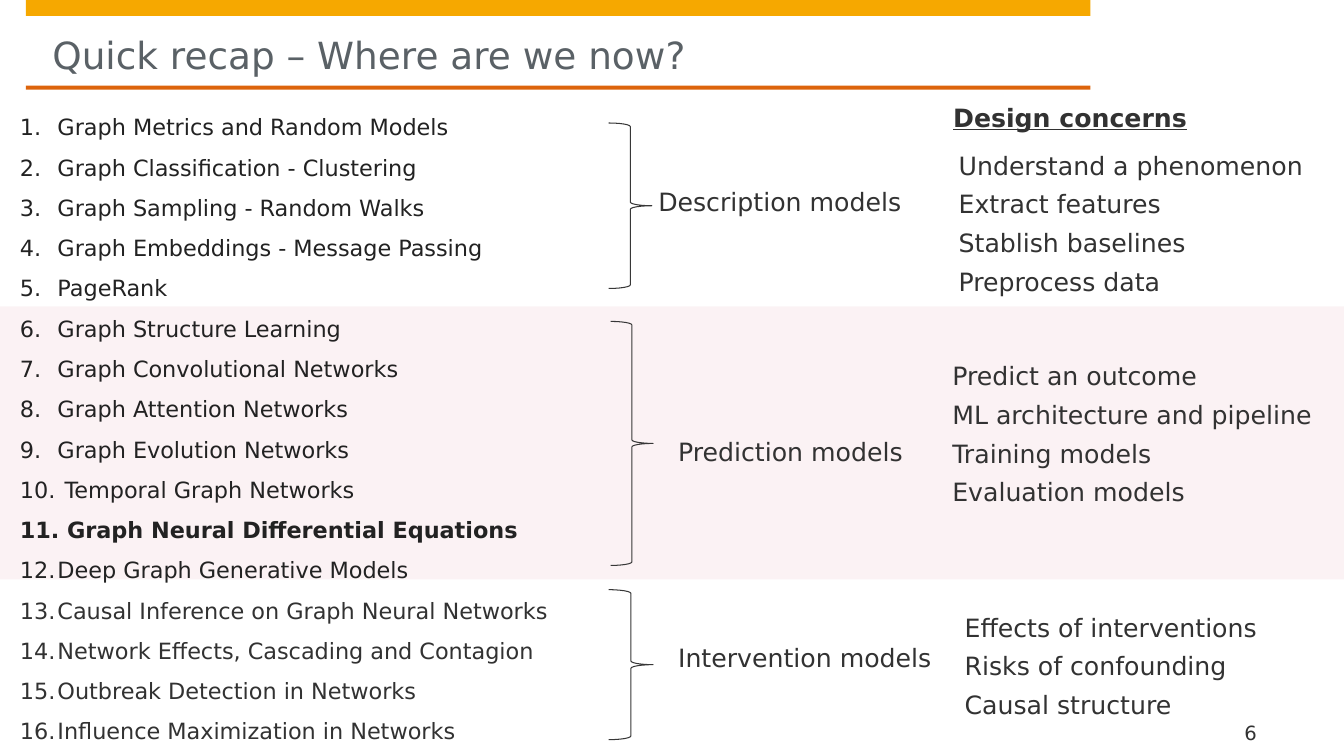
from lxml import etree
from pptx import Presentation
from pptx.dml.color import RGBColor
from pptx.enum.shapes import MSO_SHAPE
from pptx.enum.text import MSO_ANCHOR
from pptx.oxml.ns import qn
from pptx.util import Cm, Pt

RECTANGLE = MSO_SHAPE.RECTANGLE
RIGHT_BRACE = MSO_SHAPE.RIGHT_BRACE
TOP = MSO_ANCHOR.TOP
BOTTOM = MSO_ANCHOR.BOTTOM

FONT = "DejaVu Sans"
COLORS = {
    "amber": "F6A800",
    "orange": "DD640C",
    "crimson": "B1063A",
    "title": "5A6166",
    "topic": "222222",
    "text": "323232",
    "brace": "373737",
}
WIDTH, HEIGHT = 33.87, 19.05
NO_INSETS = (0, 0, 0, 0)
LIST_INSETS = (0.25, 0.13, 0.25, 0.13)

TOPICS = [
    "Graph Metrics and Random Models",
    "Graph Classification - Clustering",
    "Graph Sampling - Random Walks",
    "Graph Embeddings - Message Passing",
    "PageRank",
    "Graph Structure Learning",
    "Graph Convolutional Networks",
    "Graph Attention Networks",
    "Graph Evolution Networks",
    " Temporal Graph Networks",
    " Graph Neural Differential Equations",
    "Deep Graph Generative Models",
    "Causal Inference on Graph Neural Networks",
    "Network Effects, Cascading and Contagion",
    "Outbreak Detection in Networks",
    "Influence Maximization in Networks",
]
CURRENT_TOPIC = 10
FIRST_INTERVENTION_TOPIC = 12

GROUPS = [
    {
        "brace": (15.34, 3.1, 1.09, 4.17),
        "label": "Description models",
        "label_offset": (1.25, 1.6),
        "concerns": ["Understand a phenomenon", "Extract features",
                     "Stablish baselines", "Preprocess data"],
        "concerns_offset": (8.82, 0.68),
    },
    {
        "brace": (15.39, 8.1, 1.07, 6.15),
        "label": "Prediction models",
        "label_offset": (1.7, 2.9),
        "concerns": ["Predict an outcome", "ML architecture and pipeline",
                     "Training models", "Evaluation models"],
        "concerns_offset": (8.61, 0.99),
    },
    {
        "brace": (15.34, 14.86, 1.12, 3.78),
        "label": "Intervention models",
        "label_offset": (1.75, 1.32),
        "concerns": ["Effects of interventions", "Risks of confounding",
                     "Causal structure"],
        "concerns_offset": (8.97, 0.56),
    },
]


def color(name):
    return RGBColor.from_string(COLORS[name])


def add_block(page, box, fill):
    block = page.shapes.add_shape(RECTANGLE, *map(Cm, box))
    block.shadow.inherit = False
    block.fill.solid()
    block.fill.fore_color.rgb = color(fill)
    block.line.fill.background()
    return block


def add_text(page, box, lines, size, fill="text", insets=NO_INSETS, anchor=TOP, gap=0):
    text_box = page.shapes.add_textbox(*map(Cm, box))
    frame = text_box.text_frame
    frame.word_wrap = True
    frame.vertical_anchor = anchor
    (frame.margin_left, frame.margin_top,
     frame.margin_right, frame.margin_bottom) = map(Cm, insets)
    frame.text = "\n".join(lines)
    for para in frame.paragraphs:
        para.space_before = para.space_after = Pt(gap)
        for span in para.runs:
            span.font.name = FONT
            span.font.size = Pt(size)
            span.font.color.rgb = color(fill)
    return frame


def add_header(page, box):
    left, top, width, height = box
    add_block(page, (left, top, width, 0.4), "amber")
    add_block(page, (left, top + height - 0.1, width, 0.1), "orange")
    add_text(page, (left + 0.67, top + 0.4, width - 1.35, 1.54),
             ["Quick recap – Where are we now?"], 26.7, "title", (0, 0.4, 0, 0))


def add_band(page, box):
    band = add_block(page, box, "crimson")
    tint = band.fill._xPr.find(qn("a:solidFill"))[0]
    etree.SubElement(tint, qn("a:alpha"), val="5000")


def add_topics(page, box):
    frame = add_text(page, box, TOPICS, 16, "topic", LIST_INSETS)
    for index, para in enumerate(frame.paragraphs):
        para.line_spacing = 1.5
        properties = para._p.get_or_add_pPr()
        properties.set("marL", str(Cm(0.95)))
        properties.set("indent", str(-Cm(0.95)))
        etree.SubElement(properties, qn("a:buFont"), typeface="+mj-lt")
        etree.SubElement(properties, qn("a:buAutoNum"), type="arabicPeriod")
        font = para.runs[0].font
        font.bold = index == CURRENT_TOPIC
        if index >= FIRST_INTERVENTION_TOPIC:
            font.color.rgb = color("text")


def add_group(page, box, group):
    left, top, width, height = box
    brace = page.shapes.add_shape(RIGHT_BRACE, *map(Cm, box))
    brace.shadow.inherit = False
    brace.fill.background()
    brace.line.color.rgb = color("brace")
    brace.line.width = Pt(0.75)
    across, down = group["label_offset"]
    add_text(page, (left + across, top + down, 7, 0.9), [group["label"]], 18, gap=3)
    across, down = group["concerns_offset"]
    concerns = group["concerns"]
    add_text(page, (left + across, top + down, 9.4, 0.98 * len(concerns)),
             concerns, 18, gap=3)


def add_concerns_heading(page, box):
    frame = add_text(page, box, ["Design concerns"], 18, insets=LIST_INSETS, gap=3)
    font = frame.paragraphs[0].runs[0].font
    font.bold = True
    font.underline = True


def main():
    deck = Presentation()
    deck.slide_width, deck.slide_height = Cm(WIDTH), Cm(HEIGHT)
    page = deck.slides.add_slide(deck.slide_layouts[6])
    add_header(page, (0.65, 0, 26.83, 2.26))
    add_band(page, (0, 7.72, WIDTH, 6.88))
    add_topics(page, (0.25, 2.39, 14.4, 16.54))
    add_concerns_heading(page, (23.77, 2.46, 7.57, 1.02))
    for group in GROUPS:
        add_group(page, group["brace"], group)
    add_text(page, (31.06, 18.01, 2.13, 0.74), ["6"], 14,
             insets=(0.3, 0, 0, 0), anchor=BOTTOM)
    deck.save("out.pptx")


if __name__ == "__main__":
    main()
